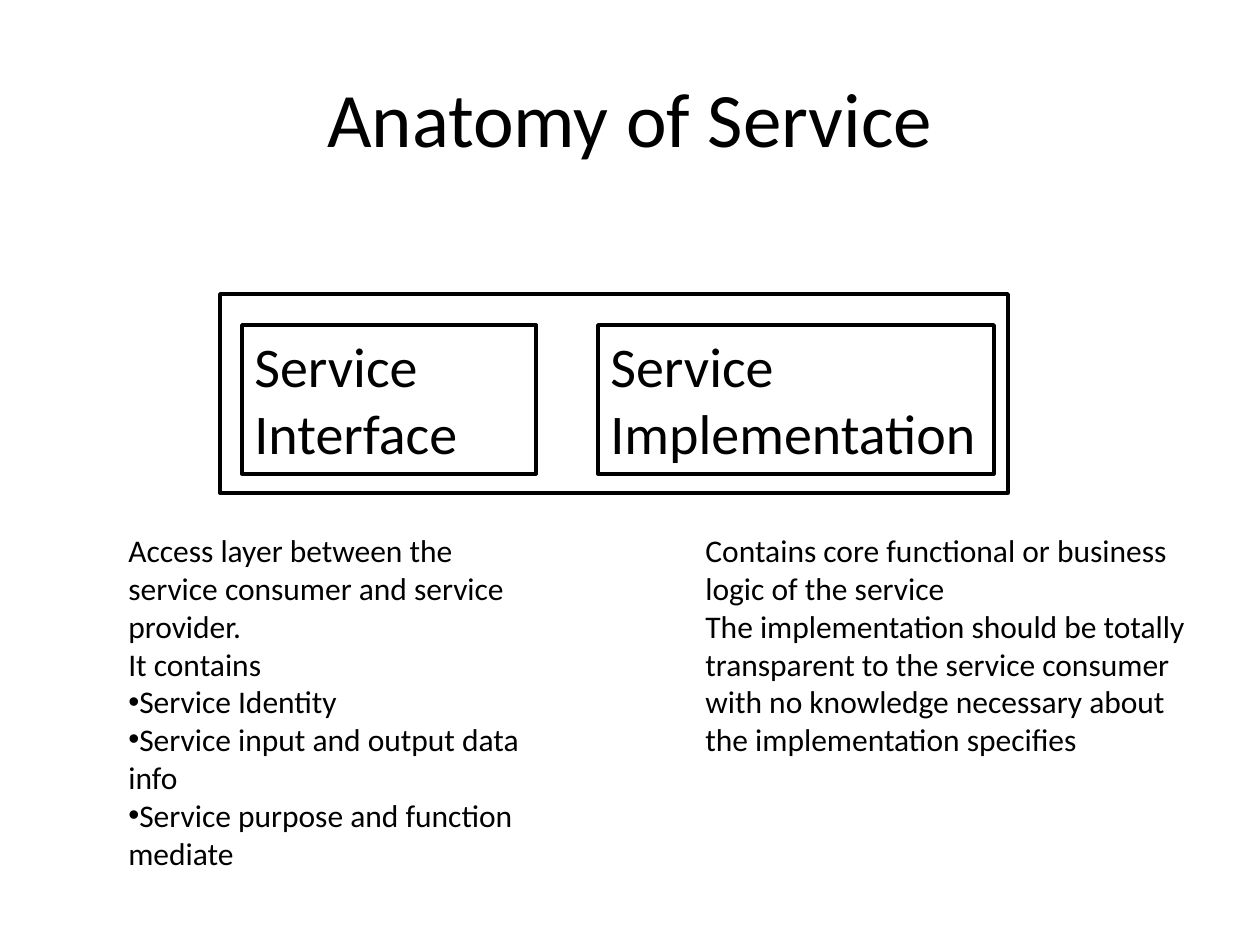
from lxml.etree import SubElement as Sub
from pptx import Presentation
from pptx.dml.color import RGBColor as RGB
from pptx.enum.shapes import MSO_SHAPE as Kind
from pptx.enum.text import MSO_ANCHOR as Anchor, PP_ALIGN as Align
from pptx.oxml.ns import qn
from pptx.util import Emu, Pt

BLACK = RGB(0, 0, 0)
WHITE = RGB(255, 255, 255)
PX = 914400 // 126
DOT = "\u2022"

TITLE = ("Anatomy of Service", (63, 38, 1134, 157))
FRAME = (220, 294, 788, 199)
PARTS = [
    (["Service Interface"], (242, 325, 294, 149), True),
    (["Service", "Implementation"], (598, 325, 396, 149), False),
]
NOTES = [
    ([
        "Access layer between the service consumer and service provider.",
        "It contains",
        DOT + "Service Identity",
        DOT + "Service input and output data info",
        DOT + "Service purpose and function mediate",
    ], (116, 525, 441, 357)),
    ([
        "Contains core functional or business logic of the service",
        "The implementation should be totally transparent to the service "
        "consumer with no knowledge necessary about the implementation specifies",
    ], (693, 525, 525, 242)),
]


def scale(box):
    return [Emu(n * PX) for n in box]


def write(shape, lines, size, align=Align.LEFT, anchor=Anchor.TOP, wrap=True):
    frame = shape.text_frame
    for key, val in dict(word_wrap=wrap, vertical_anchor=anchor).items():
        setattr(frame, key, val)
    for i, line in enumerate(lines):
        para = frame.add_paragraph() if i else frame.paragraphs[0]
        para.alignment = align
        run = para.add_run()
        run.text = line.removeprefix(DOT)
        for key, val in dict(name="Calibri", size=Pt(size)).items():
            setattr(run.font, key, val)
        run.font.color.rgb = BLACK
        if line.startswith(DOT):
            props = para._p.get_or_add_pPr()
            Sub(props, qn("a:buFont")).set("typeface", "Arial")
            Sub(props, qn("a:buChar")).set("char", DOT)


def draw(box):
    rect = slide.shapes.add_shape(Kind.RECTANGLE, *scale(box))
    rect.shadow.inherit = False
    rect.fill.solid()
    rect.fill.fore_color.rgb = WHITE
    rect.line.color.rgb = BLACK
    rect.line.width = Pt(2)
    return rect


deck = Presentation()
deck.slide_width, deck.slide_height = scale((1260, 945))
slide = deck.slides.add_slide(deck.slide_layouts[5])

text, box = TITLE
title = slide.shapes.title
for key, val in zip(("left", "top", "width", "height"), scale(box)):
    setattr(title, key, val)
write(title, [text], 44, Align.CENTER, Anchor.MIDDLE)

draw(FRAME)
for lines, box, wrap in PARTS:
    write(draw(box), lines, 32, wrap=wrap)
for lines, box in NOTES:
    write(slide.shapes.add_textbox(*scale(box)), lines, 18)

deck.save("out.pptx")
